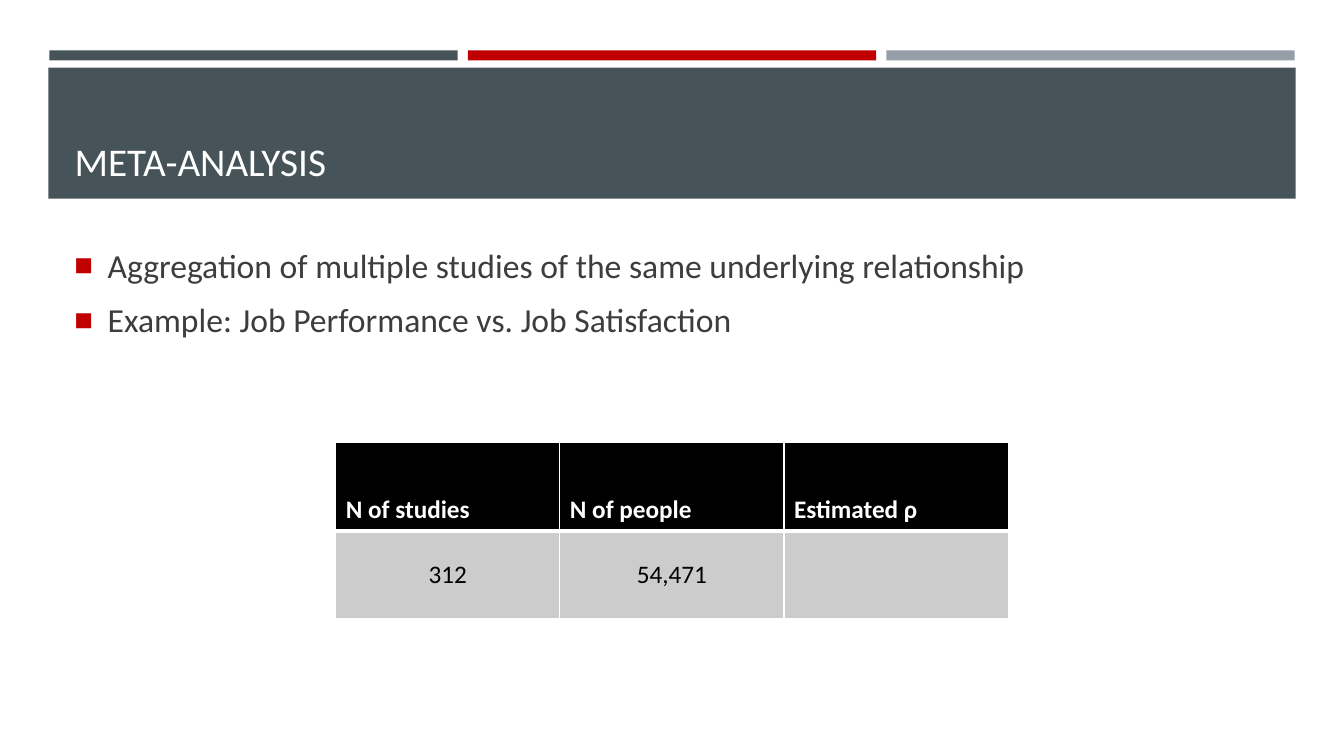
from lxml.etree import SubElement
from pptx import Presentation
from pptx.dml.color import RGBColor
from pptx.enum.shapes import MSO_SHAPE as Preset
from pptx.enum.text import MSO_ANCHOR as Anchor, MSO_AUTO_SIZE as AutoSize, PP_ALIGN as Align
from pptx.oxml.ns import qn
from pptx.util import Inches, Pt

FONT = "Calibri"
COLORS = {
    "slate": "465359",
    "red": "C00000",
    "gray": "969FA7",
    "body": "3D3D3D",
    "white": "FFFFFF",
    "black": "000000",
    "cell": "CCCCCC",
}
BULLETS = [
    "Aggregation of multiple studies of the same underlying relationship",
    "Example: Job Performance vs. Job Satisfaction",
]
TABLE_ROWS = [
    ["N of studies", "N of people", "Estimated ρ"],
    ["312", "54,471", ""],
]


def rgb(name):
    return RGBColor.from_string(COLORS[name])


def style(paragraph, size, color, bold=False, align=Align.LEFT):
    paragraph.alignment = align
    font = paragraph.font
    font.name, font.size, font.bold = FONT, Pt(size), bold
    font.color.rgb = rgb(color)


def add_band(slide, left, top, width, height, color):
    band = slide.shapes.add_shape(
        Preset.RECTANGLE, Inches(left), Inches(top), Inches(width), Inches(height))
    band.shadow.inherit = False
    band.fill.solid()
    band.fill.fore_color.rgb = rgb(color)
    band.line.fill.background()


def set_title(slide, text):
    title = slide.shapes.title
    title.left, title.top = Inches(0.64), Inches(0.77)
    title.width, title.height = Inches(12.06), Inches(1.11)
    frame = title.text_frame
    frame.text = text
    frame.auto_size = AutoSize.NONE
    frame.vertical_anchor = Anchor.BOTTOM
    style(frame.paragraphs[0], 28, "white")
    # Bring the title in front of its band
    slide.shapes.element.append(title.element)


def add_square_bullet(paragraph):
    properties = paragraph._p.get_or_add_pPr()
    properties.set("marL", str(Inches(0.33)))
    properties.set("indent", str(-Inches(0.33)))
    color = SubElement(properties, qn("a:buClr"))
    SubElement(color, qn("a:srgbClr"), val=COLORS["red"])
    SubElement(properties, qn("a:buSzPct"), val="92000")
    SubElement(properties, qn("a:buFont"), typeface="Arial")
    SubElement(properties, qn("a:buChar"), char="■")


def add_bullets(slide, lines):
    box = slide.shapes.add_textbox(
        Inches(0.64), Inches(2.38), Inches(12.06), Inches(4.02))
    frame = box.text_frame
    frame.word_wrap = True
    frame.text = "\n".join(lines)
    for paragraph in frame.paragraphs:
        style(paragraph, 24, "body")
        paragraph.space_before, paragraph.space_after = Pt(4), Pt(6)
        add_square_bullet(paragraph)


def set_borders(cell, widths):
    properties = cell._tc.get_or_add_tcPr()
    for side, width in widths.items():
        line = SubElement(properties, qn(f"a:ln{side}"), w=str(Pt(width)))
        fill = SubElement(line, qn("a:solidFill"))
        SubElement(fill, qn("a:srgbClr"), val=COLORS["white"])


def add_study_table(slide, rows):
    table = slide.shapes.add_table(
        len(rows), len(rows[0]),
        Inches(3.33), Inches(4.39), Inches(6.67), Inches(1.75)).table
    table.horz_banding = False
    for row_index, row in enumerate(rows):
        header = row_index == 0
        for column_index, text in enumerate(row):
            cell = table.cell(row_index, column_index)
            # The rule between header and values is thicker
            set_borders(cell, {"L": 1, "R": 1, "T": 1 if header else 3,
                               "B": 3 if header else 1})
            cell.fill.solid()
            cell.fill.fore_color.rgb = rgb("black" if header else "cell")
            cell.text = text
            cell.vertical_anchor = Anchor.BOTTOM if header else Anchor.MIDDLE
            style(cell.text_frame.paragraphs[0], 18,
                  "white" if header else "black", header,
                  Align.LEFT if header else Align.CENTER)


def main():
    presentation = Presentation()
    presentation.slide_width, presentation.slide_height = Inches(13.33), Inches(7.5)
    slide = presentation.slides.add_slide(presentation.slide_layouts[5])

    # Header bands
    for index, color in enumerate(["slate", "red", "gray"]):
        add_band(slide, 0.49 + index * 4.15, 0.5, 4.05, 0.1, color)
    add_band(slide, 0.48, 0.67, 12.37, 1.3, "slate")
    set_title(slide, "META-ANALYSIS")

    # Content
    add_bullets(slide, BULLETS)
    add_study_table(slide, TABLE_ROWS)

    presentation.save("out.pptx")


if __name__ == "__main__":
    main()
